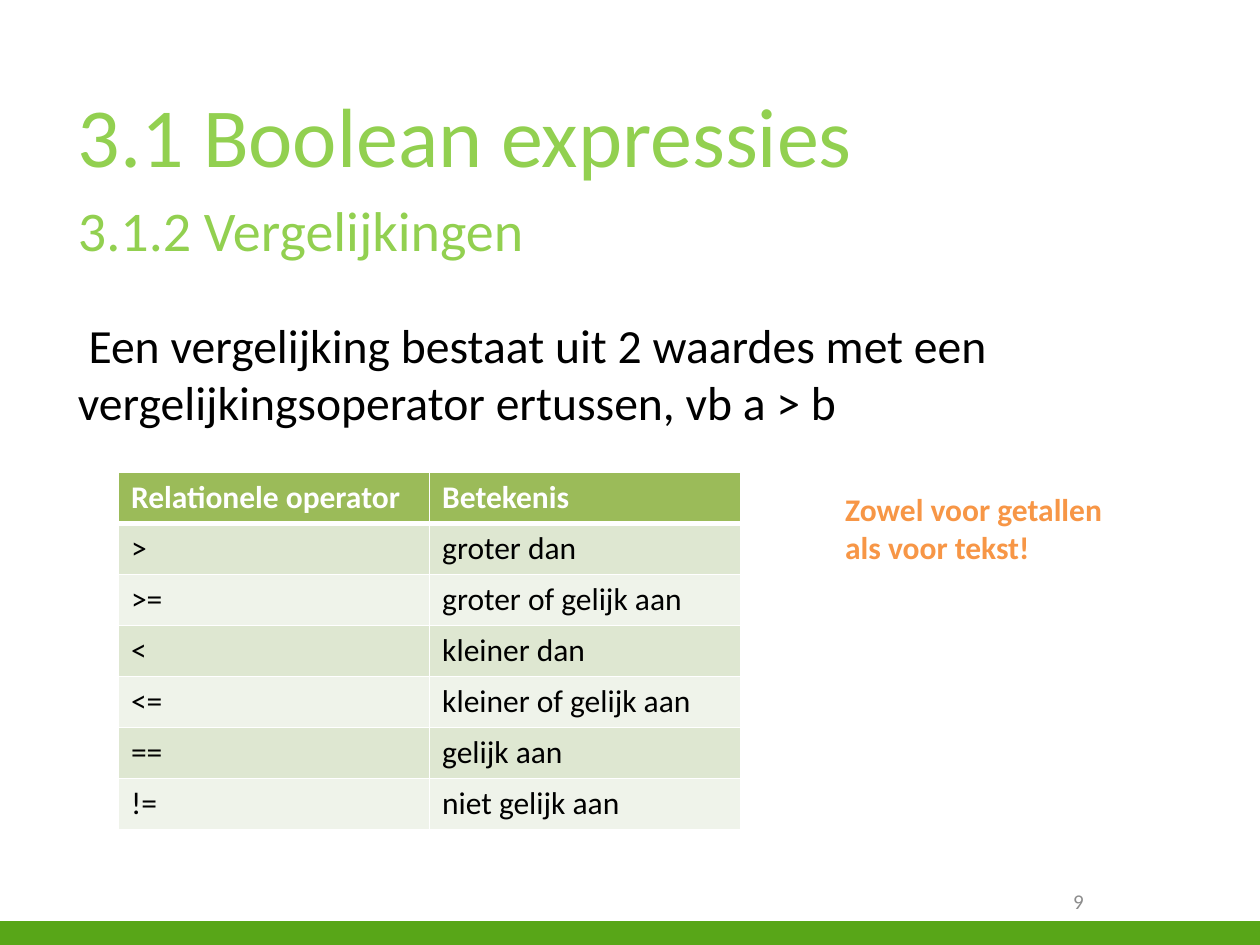
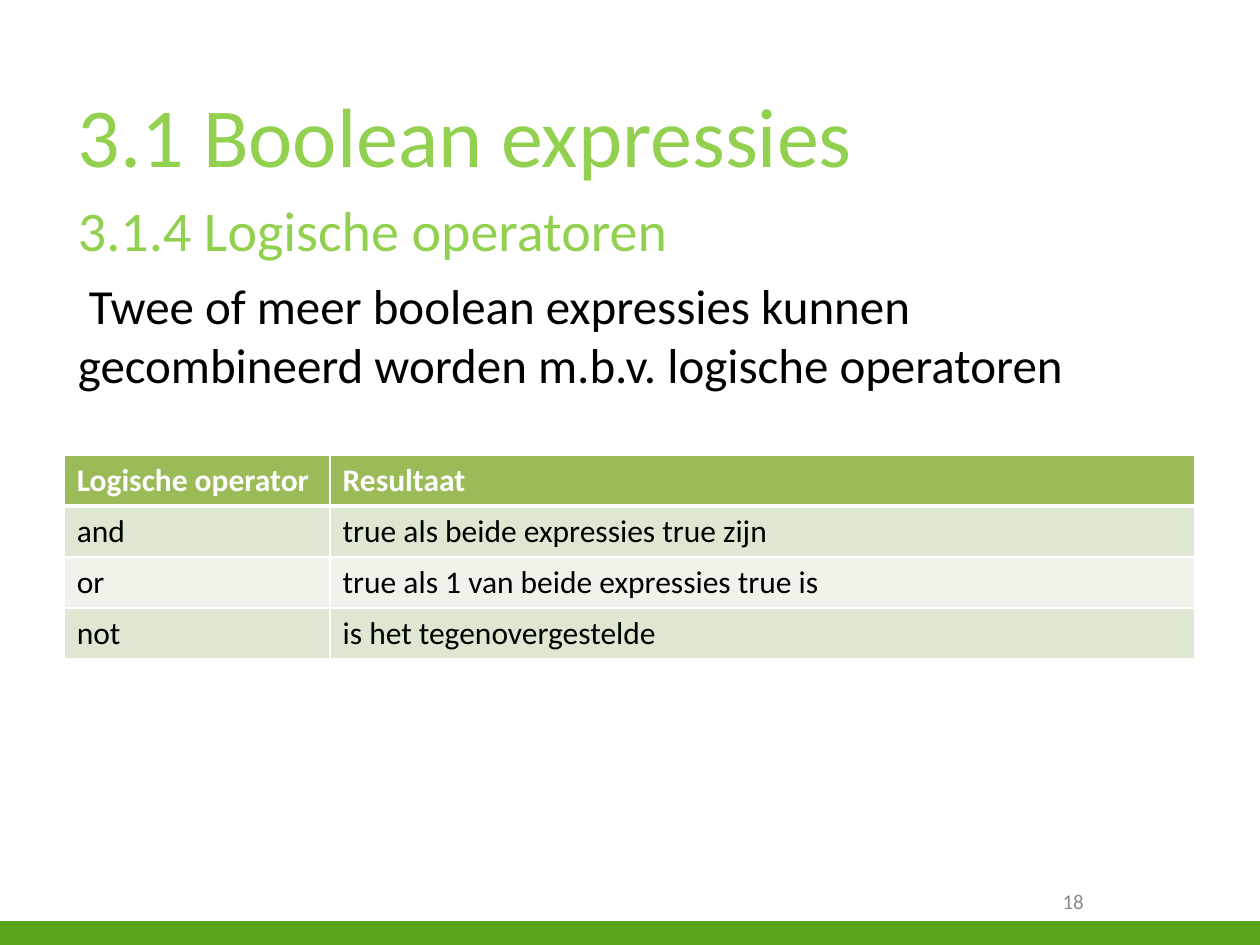
"""Build two slides on boolean expressions."""
import lxml.etree
import pptx
import pptx.dml.color
import pptx.enum.shapes
import pptx.enum.text
import pptx.oxml.ns
import pptx.util

Inches = pptx.util.Inches
Pt = pptx.util.Pt
FONT = "Calibri"
LIME, BAND, ORANGE, GREY = "92D050", "58A618", "F79646", "8C8C8C"
BLACK, WHITE, HEAD = "000000", "FFFFFF", "9BBB59"
STRIPES = ("DEE7D1", "EFF3EA")
ROW = 0.405


def color(code):
    """Turn a hex string into a colour."""
    return pptx.dml.color.RGBColor.from_string(code)


def write(para, text, size, code, bold=False):
    """Add one styled run to a paragraph."""
    run = para.add_run()
    run.text = text
    run.font.name = FONT
    run.font.size = Pt(size)
    run.font.bold = bold
    run.font.color.rgb = color(code)


def add_box(slide, left, top, width, height):
    """Add an empty wrapping text box and return its frame."""
    box = slide.shapes.add_textbox(Inches(left), Inches(top), Inches(width), Inches(height))
    box.text_frame.word_wrap = True
    return box.text_frame


def add_band(slide):
    """Add the green band at the foot of the slide."""
    band = slide.shapes.add_shape(pptx.enum.shapes.MSO_SHAPE.RECTANGLE,
                                  0, Inches(7.31), Inches(10), Inches(0.19))
    band.shadow.inherit = False
    band.fill.solid()
    band.fill.fore_color.rgb = color(BAND)
    band.line.fill.background()


def add_number(slide, number):
    """Add the slide number above the band."""
    frame = add_box(slide, 7.17, 6.95, 1.53, 0.4)
    frame.vertical_anchor = pptx.enum.text.MSO_ANCHOR.MIDDLE
    para = frame.paragraphs[0]
    para.alignment = pptx.enum.text.PP_ALIGN.RIGHT
    write(para, number, 12, GREY)


def add_title(slide, section):
    """Add the chapter title with the section below it."""
    frame = add_box(slide, 0.52, 0.61, 8.98, 1.61)
    write(frame.paragraphs[0], "3.1 Boolean expressies", 48, LIME)
    para = frame.add_paragraph()
    para.space_before = Pt(6.4)
    write(para, section, 32, LIME)


def add_text(slide, spot, text, size, code, bold=False):
    """Add a text box with a single paragraph."""
    write(add_box(slide, *spot).paragraphs[0], text, size, code, bold)


def add_edges(cell, row):
    """Draw white cell borders, thick between header and body."""
    props = cell._tc.get_or_add_tcPr()
    widths = {"lnL": 1, "lnR": 1, "lnT": 3 if row == 1 else 1, "lnB": 3 if row == 0 else 1}
    for place, (tag, width) in enumerate(widths.items()):
        line = lxml.etree.Element(pptx.oxml.ns.qn(f"a:{tag}"), w=str(Pt(width)))
        fill = lxml.etree.SubElement(line, pptx.oxml.ns.qn("a:solidFill"))
        lxml.etree.SubElement(fill, pptx.oxml.ns.qn("a:srgbClr"), val=WHITE)
        props.insert(place, line)


def add_grid(slide, left, top, widths, rows):
    """Add a striped table whose first row is the header."""
    grid = slide.shapes.add_table(len(rows), len(widths), Inches(left), Inches(top),
                                  Inches(sum(widths)), Inches(ROW * len(rows))).table
    for column, width in zip(grid.columns, widths):
        column.width = Inches(width)
    for r, texts in enumerate(rows):
        grid.rows[r].height = Inches(ROW)
        for c, text in enumerate(texts):
            cell = grid.cell(r, c)
            cell.fill.solid()
            cell.fill.fore_color.rgb = color(STRIPES[(r - 1) % 2] if r else HEAD)
            add_edges(cell, r)
            write(cell.text_frame.paragraphs[0], text, 18, BLACK if r else WHITE, r == 0)


def add_slide(deck, number, section):
    """Add a blank slide with the shared parts."""
    slide = deck.slides.add_slide(deck.slide_layouts[6])
    add_band(slide)
    add_number(slide, number)
    add_title(slide, section)
    return slide


def main():
    """Build and save the deck."""
    deck = pptx.Presentation()
    deck.slide_width, deck.slide_height = Inches(10), Inches(7.5)

    slide = add_slide(deck, "9", "3.1.2 Vergelijkingen")
    add_text(slide, (0.52, 2.46, 8.66, 0.85),
             " Een vergelijking bestaat uit 2 waardes met een "
             "vergelijkingsoperator ertussen, vb a > b", 27.2, BLACK)
    add_grid(slide, 0.94, 3.75, (2.47, 2.47), (
        ("Relationele operator", "Betekenis"),
        (">", "groter dan"),
        (">=", "groter of gelijk aan"),
        ("<", "kleiner dan"),
        ("<=", "kleiner of gelijk aan"),
        ("==", "gelijk aan"),
        ("!=", "niet gelijk aan")))
    add_text(slide, (6.61, 3.84, 2.57, 0.71),
             "Zowel voor getallen als voor tekst!", 18, ORANGE, True)

    slide = add_slide(deck, "18", "3.1.4 Logische operatoren")
    add_text(slide, (0.52, 2.14, 8.66, 0.94),
             " Twee of meer boolean expressies kunnen "
             "gecombineerd worden m.b.v. logische operatoren", 28, BLACK)
    add_grid(slide, 0.51, 3.61, (2.11, 6.86), (
        ("Logische operator", "Resultaat"),
        ("and", "true als beide expressies true zijn"),
        ("or", "true als 1 van beide expressies true is"),
        ("not", "is het tegenovergestelde")))

    deck.save("out.pptx")


if __name__ == "__main__":
    main()
